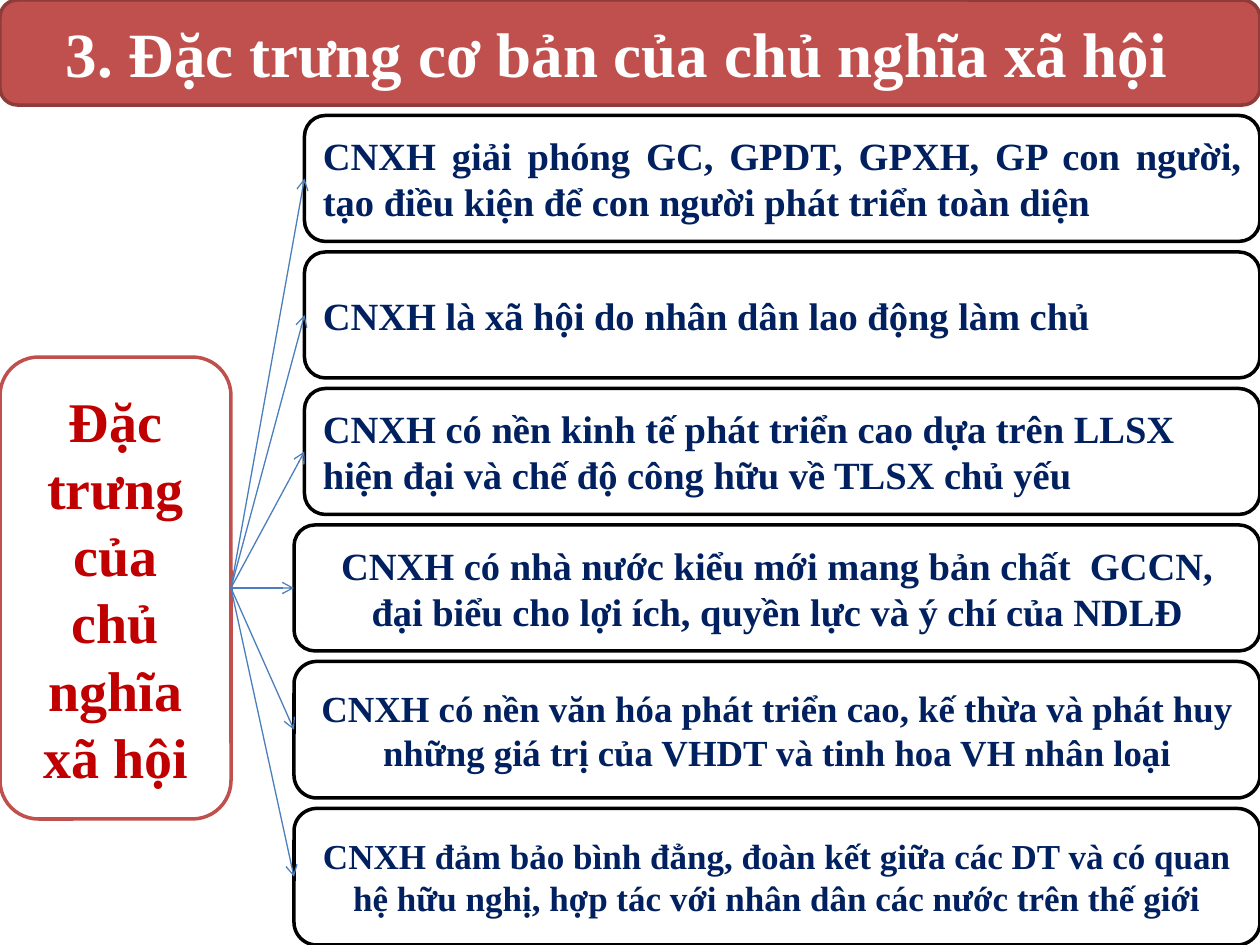
from lxml import etree
from pptx import Presentation, util as u
from pptx.dml.color import RGBColor
from pptx.enum import shapes, text
from pptx.oxml.ns import qn

WHITE = RGBColor(0xFF, 0xFF, 0xFF)
BLACK = RGBColor(0x00, 0x00, 0x00)
BRICK = RGBColor(0xC0, 0x50, 0x4D)
DARK_BRICK = RGBColor(0x8E, 0x3B, 0x39)
RED = RGBColor(0xC0, 0x00, 0x00)
NAVY = RGBColor(0x00, 0x20, 0x60)
BLUE = RGBColor(0x4B, 0x7E, 0xBC)

JUSTIFY = text.PP_ALIGN.JUSTIFY
LEFT = text.PP_ALIGN.LEFT
CENTER = text.PP_ALIGN.CENTER

COLUMNS, ROWS, GAP = 120, 90, 1

presentation = Presentation()
presentation.slide_width = u.Inches(10)
presentation.slide_height = u.Inches(7.5)
slide = presentation.slides.add_slide(presentation.slide_layouts[6])
column = presentation.slide_width / COLUMNS
row = presentation.slide_height / ROWS


def add_box(left, top, width, height, words, size, align, fill, outline, color):
    shape = slide.shapes.add_shape(
        shapes.MSO_SHAPE.ROUNDED_RECTANGLE,
        round(left * column), round(top * row),
        round(width * column), round(height * row))
    shape.shadow.inherit = False
    shape.fill.solid()
    shape.fill.fore_color.rgb = fill
    shape.line.color.rgb = outline
    shape.line.width = u.Pt(2)
    shape.text_frame.text = words
    shape.text_frame.word_wrap = True
    shape.text_frame.vertical_anchor = text.MSO_ANCHOR.MIDDLE
    paragraph = shape.text_frame.paragraphs[0]
    paragraph.alignment = align
    font = paragraph.runs[0].font
    font.name = "Times New Roman"
    font.size = u.Pt(size)
    font.bold = True
    font.color.rgb = color
    return shape


def add_arrow(start, end):
    arrow = slide.shapes.add_connector(shapes.MSO_CONNECTOR.STRAIGHT, 0, 0, 0, 0)
    arrow.begin_connect(start, 3)
    arrow.end_connect(end, 1)
    arrow.line.color.rgb = BLUE
    arrow.line.width = u.Pt(0.75)
    etree.SubElement(arrow.line._get_or_add_ln(), qn("a:tailEnd"), type="arrow")
    etree.SubElement(arrow._element.spPr, qn("a:effectLst"))


title = add_box(0, 0, COLUMNS, 10, "3. Đặc trưng cơ bản của chủ nghĩa xã hội",
                36, JUSTIFY, BRICK, DARK_BRICK, WHITE)
title.text_frame.margin_left = u.Inches(0.48)

topic = add_box(0, 34, 22, 44, "Đặc trưng của chủ nghĩa xã hội",
                32, CENTER, WHITE, BRICK, RED)

features = [
    (29, 12, 22, JUSTIFY, "CNXH giải phóng GC, GPDT, GPXH, GP con người, "
     "tạo điều kiện để con người phát triển toàn diện"),
    (29, 12, 22, JUSTIFY, "CNXH là xã hội do nhân dân lao động làm chủ"),
    (29, 12, 22, LEFT, "CNXH có nền kinh tế phát triển cao dựa trên LLSX "
     "hiện đại và chế độ công hữu về TLSX chủ yếu"),
    (28, 12, 22, CENTER, "CNXH có nhà nước kiểu mới mang bản chất  GCCN, "
     "đại biểu cho lợi ích, quyền lực và ý chí của NDLĐ"),
    (28, 13, 21, CENTER, "CNXH có nền văn hóa phát triển cao, kế thừa và phát huy "
     "những giá trị của VHDT và tinh hoa VH nhân loại"),
    (28, 13, 20, CENTER, "CNXH đảm bảo bình đẳng, đoàn kết giữa các DT và có quan "
     "hệ hữu nghị, hợp tác với nhân dân các nước trên thế giới"),
]

top = 10 + GAP
for left, height, size, align, words in features:
    feature = add_box(left, top, COLUMNS - left, height, words,
                      size, align, WHITE, BLACK, NAVY)
    add_arrow(topic, feature)
    top += height + GAP

presentation.save("out.pptx")
